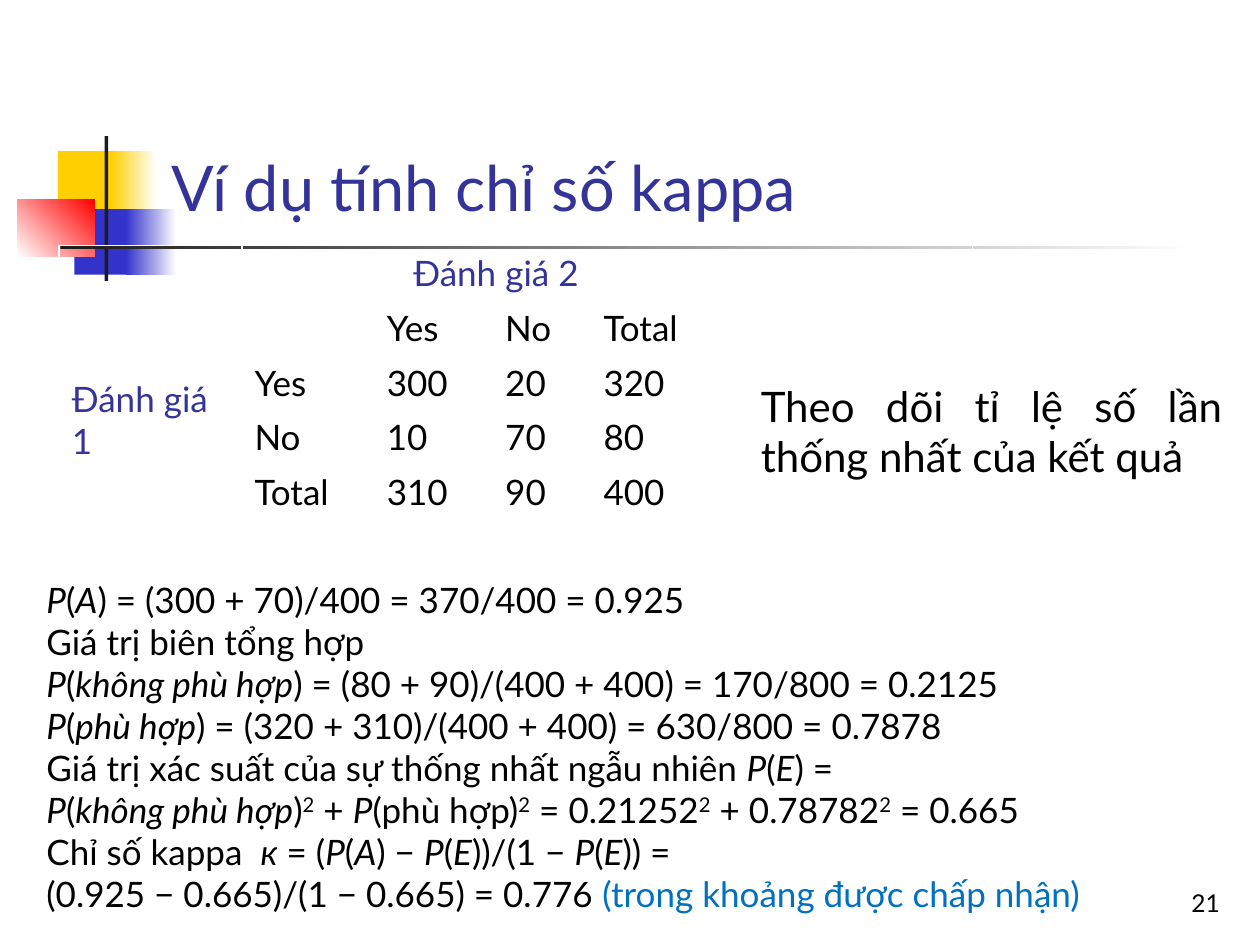
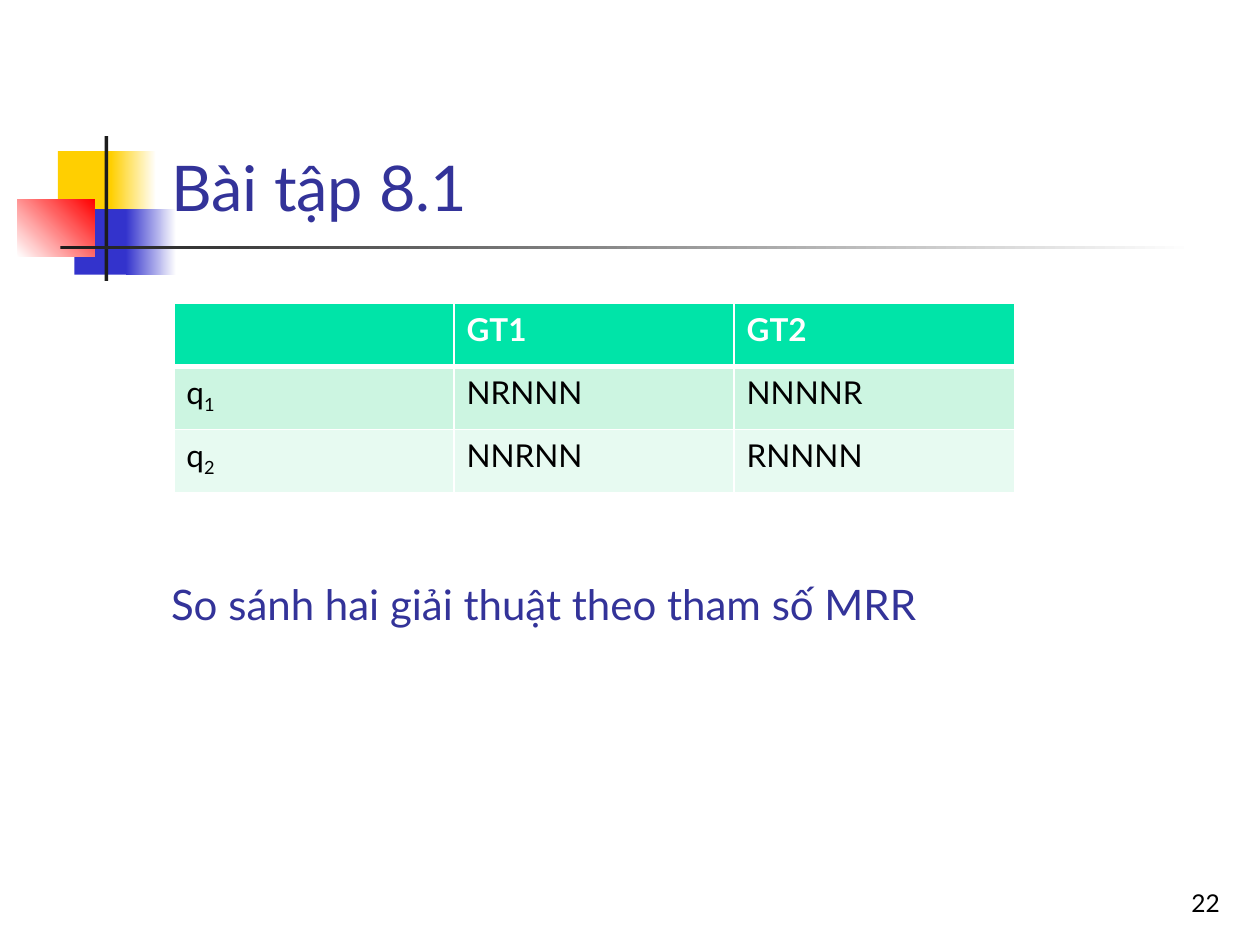
from lxml import etree
from pptx import Presentation
from pptx.dml.color import RGBColor
from pptx.enum.shapes import MSO_SHAPE
from pptx.enum.text import MSO_ANCHOR, MSO_AUTO_SIZE, PP_ALIGN
from pptx.oxml.ns import qn
from pptx.util import Inches, Pt

RECT = MSO_SHAPE.RECTANGLE
BOTTOM = MSO_ANCHOR.BOTTOM
TOP = MSO_ANCHOR.TOP
LEFT, RIGHT, JUST = PP_ALIGN.LEFT, PP_ALIGN.RIGHT, PP_ALIGN.JUSTIFY
FIXED = MSO_AUTO_SIZE.NONE

FONT = "Lato"
WHITE = RGBColor(0xFF, 0xFF, 0xFF)
BLACK = RGBColor(0, 0, 0)
INK = RGBColor(0x1C, 0x1C, 0x1C)
NAVY = RGBColor(0x33, 0x33, 0x99)
BLUE = RGBColor(0x33, 0x33, 0xCC)
GOLD = RGBColor(0xFF, 0xCF, 0x01)
RED = RGBColor(0xFF, 0, 0)
SKY = RGBColor(0, 0x70, 0xC0)
GREEN = RGBColor(0, 0xE4, 0xA8)
MINT = RGBColor(0xCC, 0xF5, 0xE1)
PALE = RGBColor(0xE7, 0xFA, 0xF1)

# box, colours (two make a gradient), gradient angle
DECOR = [
    ((0.46, 1.2, 0.48, 0.52), (GOLD,), 0),
    ((0.88, 1.2, 0.36, 0.52), (GOLD, WHITE), 0),
    ((0.59, 1.66, 0.46, 0.52), (BLUE,), 0),
    ((1, 1.66, 0.4, 0.52), (BLUE, WHITE), 0),
    ((0.14, 1.58, 0.61, 0.46), (WHITE, RED), 45),
    ((0.83, 1.08, 0.03, 1.15), (INK,), 0),
    ((0.48, 1.95, 9, 0.03), (INK, WHITE), 0),
]

COUNTS = [
    ["Yes", "No", "Total"],
    ["Yes", "300", "20", "320"],
    ["No", "10", "70", "80"],
    ["Total", "310", "90", "400"],
]

# *italic*, ^superscript^, _subscript_
STEPS = [
    "*P*(*A*) = (300 + 70)/400 = 370/400 = 0.925",
    "Giá trị biên tổng hợp",
    "*P*(*không phù hợp*) = (80 + 90)/(400 + 400) = 170/800 = 0.2125",
    "*P*(*phù hợp*) = (320 + 310)/(400 + 400) = 630/800 = 0.7878",
    "Giá trị xác suất của sự thống nhất ngẫu nhiên *P*(*E*) =",
    "*P*(*không phù hợp*)^2^ + *P*(phù hợp)^2^ = 0.21252^2^ + 0.78782^2^ = 0.665",
    "Chỉ số kappa  *к* = (*P*(*A*) − *P*(*E*))/(1 − *P*(*E*)) =",
    "(0.925 − 0.665)/(1 − 0.665) = 0.776 ",
]

RANKS = [
    ["", "GT1", "GT2"],
    ["q_1_", "NRNNN", "NNNNR"],
    ["q_2_", "NNRNN", "RNNNN"],
]


def inches(box):
    return [Inches(v) for v in box]


def write(para, text, size, color, bold=False):
    """Add runs, reading the marks for italic, superscript and subscript."""
    marks = {"*": False, "^": False, "_": False}
    parts = [""]
    for char in text:
        if char in marks:
            put(para, parts.pop(), size, color, bold, marks)
            marks[char] = not marks[char]
            parts.append("")
        else:
            parts[0] += char
    put(para, parts[0], size, color, bold, marks)


def put(para, text, size, color, bold, marks):
    if not text:
        return
    run = para.add_run()
    run.text = text
    style = {"name": FONT, "size": Pt(size), "bold": bold, "italic": marks["*"]}
    for key, value in style.items():
        setattr(run.font, key, value)
    run.font.color.rgb = color
    shift = 30000 * marks["^"] - 25000 * marks["_"]
    if shift:
        run.font._element.set("baseline", str(shift))


def text_box(slide, box, lines, size, color, align=LEFT, anchor=TOP):
    frame = slide.shapes.add_textbox(*inches(box)).text_frame
    frame.word_wrap = True
    frame.vertical_anchor = anchor
    for i, line in enumerate(lines):
        para = frame.add_paragraph() if i else frame.paragraphs[0]
        para.alignment = align
        write(para, line, size, color)
    return frame


def set_decor(slide, layout):
    """Draw the squares and rules, then hand them to the layout."""
    tree = layout.shapes.element
    for i, (box, colors, angle) in enumerate(DECOR):
        shape = slide.shapes.add_shape(RECT, *inches(box))
        shape.shadow.inherit = False
        shape.line.fill.background()
        if len(colors) == 1:
            shape.fill.solid()
            shape.fill.fore_color.rgb = colors[0]
        else:
            shape.fill.gradient()
            shape.fill.gradient_angle = angle
            for stop, color in zip(shape.fill.gradient_stops, colors):
                stop.color.rgb = color
        shape.element.nvSpPr.cNvPr.set("id", str(100 + i))
        tree.insert(2 + i, shape.element)


def add_frame(slide, title, number):
    """Fill the title and the page number."""
    head = slide.shapes.title
    head.left, head.top, head.width, head.height = inches((1.26, 0.23, 8.52, 1.6))
    frame = head.text_frame
    frame.auto_size = FIXED
    frame.vertical_anchor = BOTTOM
    frame.paragraphs[0].alignment = LEFT
    write(frame.paragraphs[0], title, 36, NAVY)
    text_box(slide, (7.7, 6.83, 2.08, 0.5), [number], 14, BLACK, RIGHT, BOTTOM)


def set_edges(cell, base=1):
    """Give a cell white borders; base is the width of the lower one."""
    props = cell._tc.get_or_add_tcPr()
    for i, (side, width) in enumerate(zip("LRTB", (1, 1, 1, base))):
        line = etree.Element(qn("a:ln" + side), w=str(Pt(width)))
        fill = etree.SubElement(line, qn("a:solidFill"))
        etree.SubElement(fill, qn("a:srgbClr"), val=str(WHITE))
        props.insert(i, line)


def add_grid(slide, box, cols, rows):
    grid = slide.shapes.add_table(len(rows), len(cols), *inches(box)).table
    grid.first_row = grid.horz_banding = False
    for col, width in zip(grid.columns, cols):
        col.width = Inches(width)
    for row, height in zip(grid.rows, rows):
        row.height = Inches(height)
    return grid


def add_counts(slide, box):
    rows = [0.43] * 4 + [1.03]
    grid = add_grid(slide, box, [1.45, 1.05, 0.94, 0.78, 3.03], rows)
    side, top = grid.cell(0, 0), grid.cell(0, 1)
    side.merge(grid.cell(4, 0))
    top.merge(grid.cell(0, 4))
    for cell in grid.iter_cells():
        cell.fill.background()
        set_edges(cell)
    side.margin_top = Inches(1.05)
    top.margin_left = Inches(1.36)
    write(side.text_frame.paragraphs[0], "Đánh giá 1", 20, NAVY)
    write(top.text_frame.paragraphs[0], "Đánh giá 2", 20, NAVY)
    for r, row in enumerate(COUNTS, 1):
        for c, text in enumerate(row, 5 - len(row)):
            write(grid.cell(r, c).text_frame.paragraphs[0], text, 20, BLACK)


def add_ranks(slide, box):
    grid = add_grid(slide, box, [box[2] / 3] * 3, [0.5] * 3)
    for r, (row, fill) in enumerate(zip(RANKS, (GREEN, MINT, PALE))):
        head = r == 0
        for c, text in enumerate(row):
            cell = grid.cell(r, c)
            cell.fill.solid()
            cell.fill.fore_color.rgb = fill
            set_edges(cell, 3 if head else 1)
            para = cell.text_frame.paragraphs[0]
            para.space_after = Pt(12)
            write(para, text, 18, WHITE if head else BLACK, head)
    for c in range(3):
        line = grid.cell(1, c)._tc.tcPr.find(qn("a:lnT"))
        line.set("w", str(Pt(3)))


def kappa_slide(slide):
    add_frame(slide, "Ví dụ tính chỉ số kappa", "21")
    add_counts(slide, (0.47, 1.95, 7.25, 2.75))
    note = "Theo dõi tỉ lệ số lần thống nhất của kết quả"
    text_box(slide, (5.94, 2.97, 3.86, 0.9), [note], 24, BLACK, JUST)
    steps = text_box(slide, (0.27, 4.54, 9.53, 2.77), STEPS, 20, BLACK)
    write(steps.paragraphs[-1], "(trong khoảng được chấp nhận)", 20, SKY)


def task_slide(slide):
    add_frame(slide, "Bài tập 8.1", "22")
    add_ranks(slide, (1.38, 2.41, 6.67, 1.5))
    task = "So sánh hai giải thuật theo tham số MRR"
    text_box(slide, (1.26, 4.54, 6.44, 0.5), [task], 24, NAVY)


def main():
    deck = Presentation()
    deck.slide_width, deck.slide_height = Inches(10), Inches(7.5)
    layout = deck.slide_layouts[5]
    kappa, task = [deck.slides.add_slide(layout) for _ in range(2)]
    set_decor(kappa, layout)
    kappa_slide(kappa)
    task_slide(task)
    deck.save("out.pptx")


if __name__ == "__main__":
    main()
